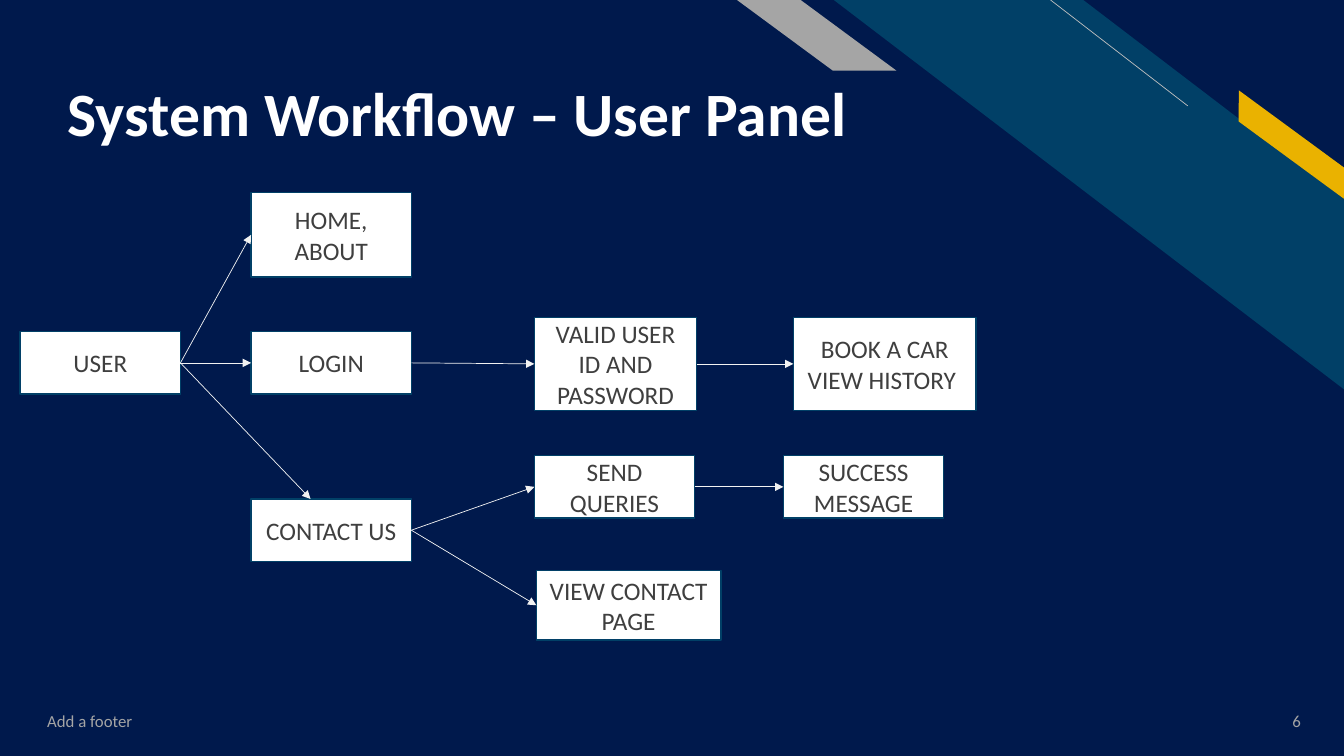
from lxml.etree import SubElement
from pptx import Presentation
from pptx.dml.color import RGBColor
from pptx.enum.shapes import MSO_CONNECTOR, MSO_SHAPE
from pptx.enum.text import MSO_ANCHOR, PP_ALIGN
from pptx.oxml.ns import qn
from pptx.util import Inches, Pt

COLORS = {
    "navy": "00194C", "teal": "014067", "gold": "EAB200", "gray": "A5A5A5",
    "white": "FFFFFF", "ink": "3F3F3F", "arrow": "F2F2F2", "hairline": "BFBFBF",
}
LEFT, RIGHT = 1, 3  # connection sites of a rectangle

# Box label: left, top, width, height
BOXES = {
    "USER": (0.2, 3.29, 1.59, 0.62),
    "HOME, ABOUT": (2.49, 1.91, 1.59, 0.84),
    "LOGIN": (2.49, 3.29, 1.59, 0.62),
    "CONTACT US": (2.49, 4.95, 1.59, 0.62),
    "VALID USER ID AND PASSWORD": (5.3, 3.15, 1.61, 0.92),
    "VIEW CONTACT PAGE": (5.32, 5.66, 1.83, 0.69),
    "SUCCESS MESSAGE": (7.77, 4.52, 1.59, 0.62),
    "SEND QUERIES": (5.3, 4.52, 1.59, 0.62),
    "BOOK A CAR VIEW HISTORY ": (7.87, 3.15, 1.81, 0.92),
}
FLOWS = [
    ("USER", "HOME, ABOUT"),
    ("USER", "LOGIN"),
    ("LOGIN", "VALID USER ID AND PASSWORD"),
    ("CONTACT US", "SEND QUERIES"),
    ("CONTACT US", "VIEW CONTACT PAGE"),
    ("SEND QUERIES", "SUCCESS MESSAGE"),
    ("VALID USER ID AND PASSWORD", "BOOK A CAR VIEW HISTORY "),
]


def rgb(name):
    return RGBColor.from_string(COLORS[name])


def write(tf, text, size, color, align=PP_ALIGN.LEFT, bold=False):
    p = tf.paragraphs[0]
    p.alignment = align
    r = p.add_run()
    r.text = text
    r.font.color.rgb = rgb(color)
    for key, value in {"name": "Calibri", "size": Pt(size), "bold": bold}.items():
        setattr(r.font, key, value)
    return p


def add_label(slide, box, text, size, color, frame=None, **style):
    tf = slide.shapes.add_textbox(*map(Inches, box)).text_frame
    settings = {"word_wrap": True, "vertical_anchor": MSO_ANCHOR.MIDDLE, **(frame or {})}
    for key, value in settings.items():
        setattr(tf, key, value)
    return write(tf, text, size, color, **style)


def add_block(slide, kind, box, fill, adjust=None, rotation=0, flip=False):
    s = slide.shapes.add_shape(kind, *map(Inches, box))
    s.shadow.inherit = False
    s.fill.solid()
    s.fill.fore_color.rgb = rgb(fill)
    s.line.fill.background()
    s.rotation = rotation
    if adjust is not None:
        s.adjustments[0] = adjust
    if flip:
        s._element.spPr.xfrm.set("flipH", "1")
    return s


def add_box(slide, text, box):
    s = add_block(slide, MSO_SHAPE.RECTANGLE, box, "white")
    s.line.color.rgb = rgb("teal")
    s.line.width = Pt(1)
    tf = s.text_frame
    tf.word_wrap = True
    tf.vertical_anchor = MSO_ANCHOR.MIDDLE
    write(tf, text, 18, "ink", PP_ALIGN.CENTER)
    return s


def add_line(slide, color, start=(0, 0), end=(0, 0), arrow=False):
    line = slide.shapes.add_connector(
        MSO_CONNECTOR.STRAIGHT, *map(Inches, (*start, *end)))
    line.line.color.rgb = rgb(color)
    line.line.width = Pt(0.5)
    if arrow:
        SubElement(line.line._get_or_add_ln(), qn("a:tailEnd"), type="triangle")
    SubElement(line._element.spPr, qn("a:effectLst"))
    return line


def add_backdrop(slide):
    slide.background.fill.solid()
    slide.background.fill.fore_color.rgb = rgb("navy")
    add_block(slide, MSO_SHAPE.DIAGONAL_STRIPE, (8.27, 0, 5.07, 3.87), "teal",
              0.512, flip=True)
    add_line(slide, "hairline", (11.78, 1.05), (10.42, 0))
    add_block(slide, MSO_SHAPE.PARALLELOGRAM, (12.07, 1.31, 1.48, 0.25), "gold",
              0.72, rotation=36.3, flip=True)
    add_block(slide, MSO_SHAPE.PARALLELOGRAM, (7.31, 0, 1.58, 0.7), "gray",
              1.356, flip=True)


def main():
    prs = Presentation()
    prs.slide_width, prs.slide_height = Inches(13.33), Inches(7.5)
    slide = prs.slides.add_slide(prs.slide_layouts[6])
    add_backdrop(slide)

    # Footer and title
    add_label(slide, (0.37, 6.95, 4.5, 0.4), "Add a footer", 12, "gray")
    add_label(slide, (12.19, 6.95, 0.81, 0.4), "6", 12, "gray", align=PP_ALIGN.RIGHT)
    title = add_label(slide, (0.57, 0.23, 9.11, 1.26), "System Workflow – User Panel",
                      44, "white",
                      {"vertical_anchor": MSO_ANCHOR.BOTTOM, "margin_bottom": 0},
                      bold=True)
    title.line_spacing = 0.9

    # Workflow boxes and arrows
    boxes = {text: add_box(slide, text, box) for text, box in BOXES.items()}
    for source, target in FLOWS:
        arrow = add_line(slide, "arrow", arrow=True)
        arrow.begin_connect(boxes[source], RIGHT)
        arrow.end_connect(boxes[target], LEFT)

    # This arrow meets the top of CONTACT US left of its middle
    arrow = add_line(slide, "arrow", (1.79, 3.6), (3.08, 4.95), arrow=True)
    arrow.begin_connect(boxes["USER"], RIGHT)

    prs.save("out.pptx")


if __name__ == "__main__":
    main()
